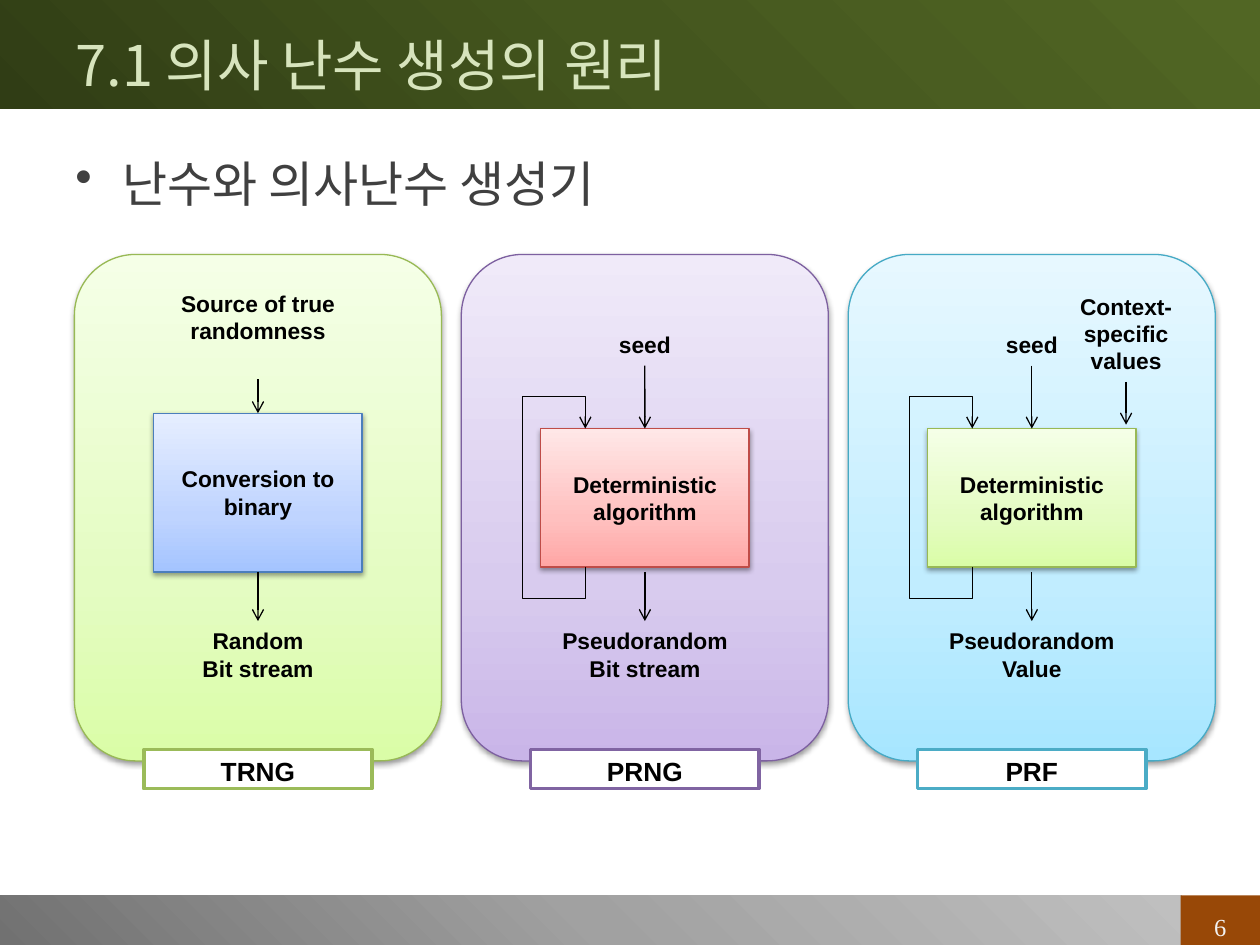
from lxml import etree
from pptx import Presentation
from pptx.dml.color import RGBColor
from pptx.enum.shapes import MSO_CONNECTOR, MSO_SHAPE
from pptx.enum.text import MSO_ANCHOR, PP_ALIGN
from pptx.oxml.ns import qn
from pptx.util import Cm, Pt

RECT, ROUND = MSO_SHAPE.RECTANGLE, MSO_SHAPE.ROUNDED_RECTANGLE
STRAIGHT = MSO_CONNECTOR.STRAIGHT
TOP, MIDDLE = MSO_ANCHOR.TOP, MSO_ANCHOR.MIDDLE
LEFT, CENTER = PP_ALIGN.LEFT, PP_ALIGN.CENTER

COLORS = {
    "black": "000000", "white": "FFFFFF", "title": "D7E4BD", "body": "404040",
    "number": "F2F2F2", "brown": "984807",
    "green_line": "98B955", "purple_line": "7D60A0", "cyan_line": "46AAC5",
    "blue_line": "4B7EBC", "red_line": "BF4C48",
    "green": "9BBB59", "purple": "8064A2", "cyan": "4BACC6",
}
GRADIENTS = {
    "header": [(0, "303D15"), (50, "44561E"), (100, "516624")],
    "footer": [(0, "717171"), (50, "A1A1A1"), (100, "BFBFBF")],
    "green": [(0, "DAFDA7"), (35, "E4FCC2"), (100, "F5FFE7")],
    "purple": [(0, "C9B5E8"), (35, "D8CBEE"), (100, "F0EAF9")],
    "cyan": [(0, "A7E6FF"), (35, "C1EDFF"), (100, "E7F8FF")],
    "blue": [(0, "A4C4FF"), (35, "BFD4FF"), (100, "E6EEFF")],
    "red": [(0, "FFA6A5"), (35, "FFC0BF"), (100, "FFE7E7")],
}
KOREAN = "Noto Sans CJK KR"


class Deck:
    def __init__(self, slide):
        self.s = slide
        self.font, self.size = "Arial", 13

    def add_lines(self, sp, lines, size=None, color="black", font=None, bold=True,
                  align=CENTER, anchor=TOP):
        tf = sp.text_frame
        tf.word_wrap = True
        tf.vertical_anchor = anchor
        for i, line in enumerate(lines):
            p = tf.add_paragraph() if i else tf.paragraphs[0]
            p.alignment = align
            r = p.add_run()
            r.text = line
            r.font.name = font or self.font
            r.font.size = Pt(size or self.size)
            r.font.bold = bold
            r.font.color.rgb = RGBColor.from_string(COLORS[color])
            etree.SubElement(r.font._element, qn("a:ea"), typeface=KOREAN)

    def text(self, x, y, w, h, lines, **style):
        sp = self.s.shapes.add_textbox(Cm(x), Cm(y), Cm(w), Cm(h))
        self.add_lines(sp, lines, **style)
        return sp

    def bullet(self, x, y, w, h, line, **style):
        sp = self.text(x, y, w, h, [line], align=LEFT, bold=False, **style)
        pPr = sp.text_frame.paragraphs[0]._p.get_or_add_pPr()
        pPr.set("marL", str(Cm(0.95)))
        pPr.set("indent", str(-Cm(0.95)))
        etree.SubElement(pPr, qn("a:buChar"), char="•")

    def shape(self, kind, x, y, w, h, line=None, width=0.75):
        sp = self.s.shapes.add_shape(kind, Cm(x), Cm(y), Cm(w), Cm(h))
        sp.shadow.inherit = False
        if line:
            self.stroke(sp, line, width)
        else:
            sp.line.fill.background()
        return sp

    def solid(self, x, y, w, h, fill, **outline):
        sp = self.shape(RECT, x, y, w, h, **outline)
        sp.fill.solid()
        sp.fill.fore_color.rgb = RGBColor.from_string(COLORS[fill])
        return sp

    def gradient(self, kind, x, y, w, h, fill, angle=90, **outline):
        sp = self.shape(kind, x, y, w, h, **outline)
        sp.fill.gradient()
        sp.fill.gradient_angle = angle
        stops = sp._element.spPr.find(".//" + qn("a:gsLst"))
        for gs in list(stops):
            stops.remove(gs)
        for pos, color in GRADIENTS[fill]:
            gs = etree.SubElement(stops, qn("a:gs"), pos=str(pos * 1000))
            etree.SubElement(gs, qn("a:srgbClr"), val=color)
        return sp

    def raised(self, kind, x, y, w, h, fill):
        sp = self.gradient(kind, x, y, w, h, fill, line=fill + "_line")
        effects = sp._element.spPr.find(qn("a:effectLst"))
        shadow = etree.SubElement(effects, qn("a:outerShdw"), blurRad=str(Pt(3.1)),
                                  dist=str(Pt(1.6)), dir="5400000", rotWithShape="0")
        clr = etree.SubElement(shadow, qn("a:srgbClr"), val=COLORS["black"])
        etree.SubElement(clr, qn("a:alpha"), val="38000")
        return sp

    def stroke(self, sp, color, width=0.75, head=False):
        sp.line.color.rgb = RGBColor.from_string(COLORS[color])
        sp.line.width = Pt(width)
        if head:
            ln = sp._element.spPr.find(qn("a:ln"))
            etree.SubElement(ln, qn("a:tailEnd"), type="arrow")

    def arrow(self, x, y1, y2, begin=None, end=None):
        c = self.s.shapes.add_connector(STRAIGHT, Cm(x), Cm(y1), Cm(x), Cm(y2))
        if begin is not None:
            c.begin_connect(begin, 2)
        if end is not None:
            c.end_connect(end, 0)
        self.stroke(c, "black", head=True)
        etree.SubElement(c._element.spPr, qn("a:effectLst"))

    def loop(self, points):
        pts = [(Cm(x), Cm(y)) for x, y in points]
        fb = self.s.shapes.build_freeform(*pts[0])
        fb.add_line_segments(pts[1:], close=False)
        sp = fb.convert_to_shape()
        sp.shadow.inherit = False
        sp.fill.background()
        self.stroke(sp, "black", head=True)

    def panel(self, cx, name, color, source, source_y, source_h,
              step, step_color, step_y, step_h, output, feedback):
        self.raised(ROUND, cx - 3.7, 5.13, 7.4, 10.21, color)
        box = self.raised(RECT, cx - 2.1, step_y, 4.2, step_h, step_color)
        self.add_lines(box, step, anchor=MIDDLE)
        src = self.text(cx - 1.8, source_y, 3.6, source_h, source)
        out = self.text(cx - 2.1, 12.52, 4.2, 1.37, output)
        self.arrow(cx, source_y + source_h, step_y, src, box)
        self.arrow(cx, 11.53, 12.52, None if feedback else box, out)
        tag = self.solid(cx - 2.3, 15.11, 4.6, 0.79, "white", line=color, width=2)
        self.add_lines(tag, [name], size=15)
        if feedback:
            near, far = cx - 1.2, cx - 2.47
            bottom, low, high = step_y + step_h, 12.06, 7.99
            self.loop([(near, bottom), (near, low), (far, low),
                       (far, high), (near, high), (near, step_y)])


def main():
    prs = Presentation()
    prs.slide_width, prs.slide_height = Cm(25.4), Cm(19.05)
    d = Deck(prs.slides.add_slide(prs.slide_layouts[6]))

    d.gradient(RECT, 0, 18.05, 23.82, 1, "footer", angle=45)
    d.gradient(RECT, 0, 0, 25.4, 2.19, "header", angle=45)
    d.solid(23.8, 18.05, 1.6, 1, "brown")
    d.text(23.8, 18.27, 1.6, 0.8, ["6"], size=14, color="number",
           font="Times New Roman", bold=False)
    d.text(1.27, 0.4, 22.86, 1.78, ["7.1 의사 난수 생성의 원리"], size=32, color="title",
           font=KOREAN, bold=False, align=LEFT, anchor=MIDDLE)
    d.bullet(1.27, 2.97, 22.86, 14.05, "난수와 의사난수 생성기", size=28, color="body",
             font="Times New Roman")

    seeded = dict(source=["seed"], source_y=6.55, source_h=0.82,
                  step=["Deterministic", "algorithm"], step_y=8.64, step_h=2.79,
                  feedback=True)
    panels = [
        dict(name="TRNG", color="green", source=["Source of true", "randomness"],
             source_y=5.71, source_h=1.94, step=["Conversion to binary"],
             step_color="blue", step_y=8.33, step_h=3.2,
             output=["Random", "Bit stream"], feedback=False),
        dict(seeded, name="PRNG", color="purple", step_color="red",
             output=["Pseudorandom", "Bit stream"]),
        dict(seeded, name="PRF", color="cyan", step_color="green",
             output=["Pseudorandom", "Value"]),
    ]
    for i, panel in enumerate(panels):
        d.panel(5.2 + 7.8 * i, **panel)

    context = d.text(21.5, 5.77, 2.4, 1.93, ["Context-specific values"])
    d.arrow(22.7, 7.7, 8.56, begin=context)
    prs.save("out.pptx")


if __name__ == "__main__":
    main()
